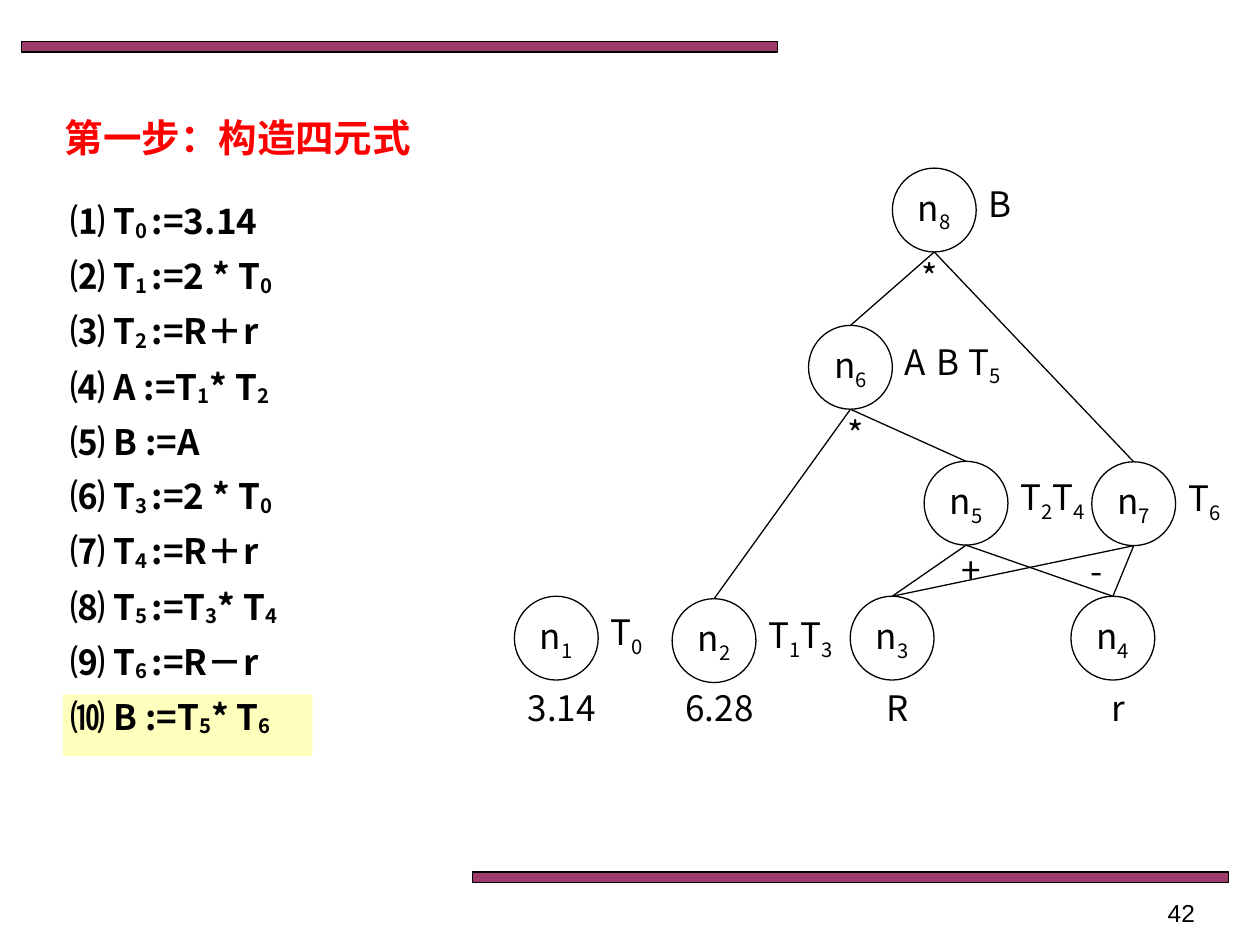
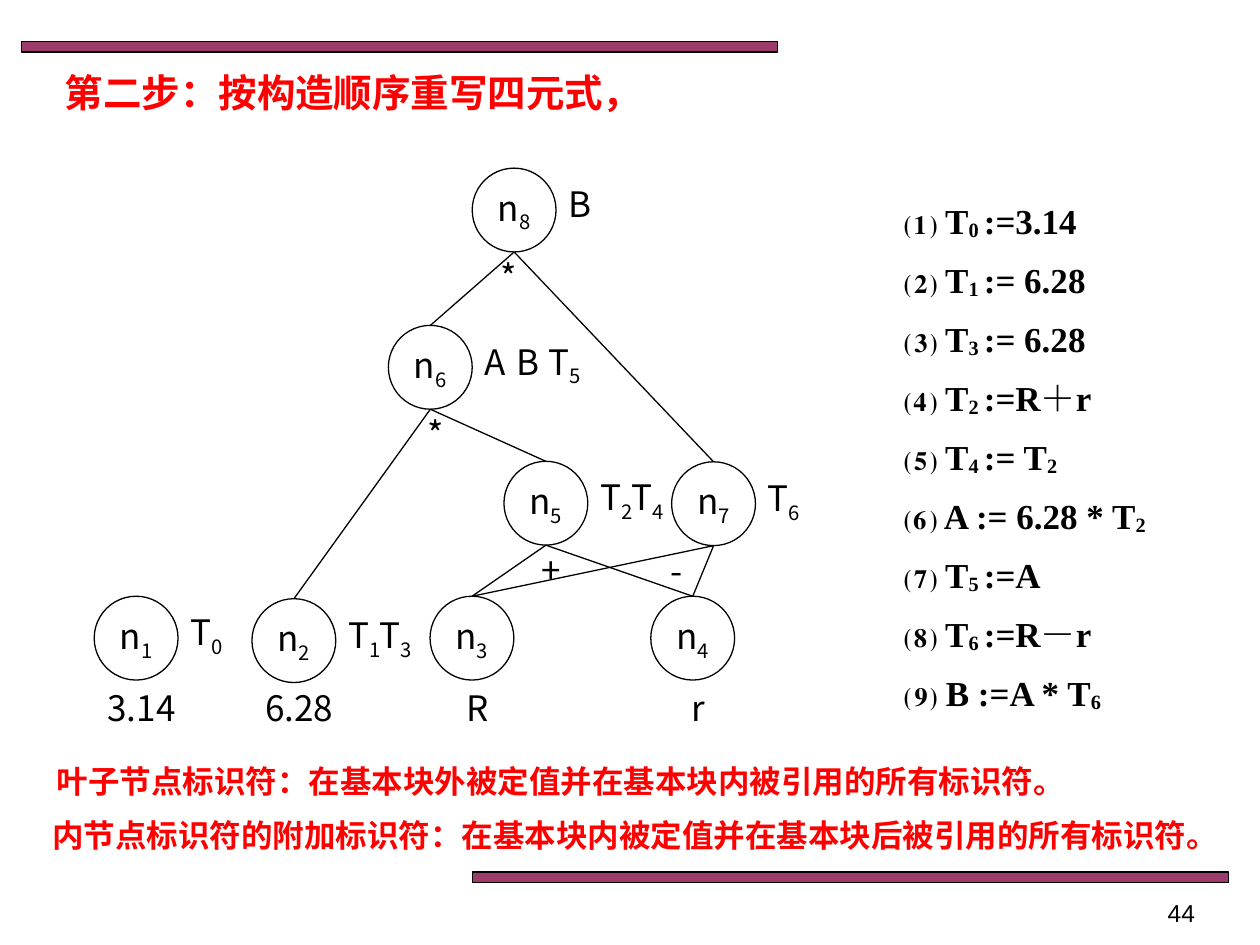
import lxml.etree
import pptx
import pptx.dml.color
import pptx.enum.shapes
import pptx.enum.text
import pptx.oxml.ns
import pptx.util

Cm = pptx.util.Cm
Pt = pptx.util.Pt
RGBColor = pptx.dml.color.RGBColor
ALIGN = pptx.enum.text.PP_ALIGN
SHAPE = pptx.enum.shapes.MSO_SHAPE
qn = pptx.oxml.ns.qn

BLACK = RGBColor(0x00, 0x00, 0x00)
RED = RGBColor(0xFF, 0x00, 0x00)
PLUM = RGBColor(0x99, 0x33, 0x66)
YELLOW = RGBColor(0xFF, 0xFF, 0x00)
SANS, SERIF, NUMBER_FONT = "Noto Sans CJK SC", "Times New Roman", "Arial"

# Braces enclose subscripts. All lengths are centimetres.
BANDS = [(0.43, 0.84), (9.53, 17.58)]
DIAMETER = 1.69
LABEL_STEP = 0.64

# name: (left from graph edge, top, labels on the right, value below)
NODES = {
    "n{1}": (0, 12.02, ["T{0}"], "3.14"),
    "n{2}": (3.18, 12.07, ["T{1}", "T{3}"], "6.28"),
    "n{3}": (6.77, 12.02, [], "R"),
    "n{4}": (11.22, 12.02, [], "r"),
    "n{5}": (8.26, 9.3, ["T{2}", "T{4}"], None),
    "n{6}": (5.93, 6.56, ["A", "B", "T{5}"], None),
    "n{7}": (11.64, 9.31, ["T{6}"], None),
    "n{8}": (7.62, 3.39, ["B"], None),
}
# parent: (operator, operator shift from the node's left, children)
OPERATIONS = {
    "n{5}": ("+", -0.21, ["n{3}", "n{4}"]),
    "n{6}": ("*", -0.21, ["n{2}", "n{5}"]),
    "n{7}": ("-", -1.06, ["n{3}", "n{4}"]),
    "n{8}": ("*", -0.42, ["n{6}", "n{7}"]),
}

FIRST_QUADRUPLES = [
    "⑴ T{0 }:=3.14",
    "⑵ T{1 }:=2 * T{0}",
    "⑶ T{2 }:=R＋r",
    "⑷ A :=T{1}* T{2}",
    "⑸ B :=A",
    "⑹ T{3 }:=2 * T{0}",
    "⑺ T{4 }:=R＋r",
    "⑻ T{5 }:=T{3}* T{4}",
    "⑼ T{6 }:=R－r",
    "⑽ B :=T{5}* T{6}",
]
REWRITTEN_QUADRUPLES = [
    "⑴ T{0 }:=3.14",
    "⑵ T{1 }:= 6.28",
    "⑶ T{3 }:= 6.28",
    "⑷ T{2 }:=R＋r",
    "⑸ T{4 }:= T{2}",
    "⑹ A := 6.28 * T{2}",
    "⑺ T{5 }:=A",
    "⑻ T{6 }:=R－r",
    "⑼ B :=A * T{6}",
]

PAGES = [
    {
        "number": "42",
        "title": ("第一步：构造四元式", 2.18),
        "graph_left": 10.37,
        "highlight": (1.27, 14.0, 5.03, 1.24),
        "quadruples": FIRST_QUADRUPLES,
        "quadruples_at": (1.17, 3.86, 6.15, 11.46),
        "quadruples_format": {"font": SANS, "line_spacing": 1.05, "before": 30},
        "remarks": [],
    },
    {
        "number": "44",
        "title": ("第二步：按构造顺序重写四元式，", 1.27),
        "graph_left": 1.9,
        "highlight": None,
        "quadruples": REWRITTEN_QUADRUPLES,
        "quadruples_at": (17.98, 3.81, 6.35, 11.0),
        "quadruples_format": {"font": SERIF, "line_spacing": 1.1, "before": 35},
        "remarks": [
            ("叶子节点标识符：在基本块外被定值并在基本块内被引用的所有标识符。",
             (0.61, 15.24, 21.39, 1.02)),
            ("内节点标识符的附加标识符：在基本块内被定值并在基本块后被引用的所有标识符。",
             (0.42, 16.33, 24.77, 1.02)),
        ],
    },
]


def write(frame, text, font=SANS, size=20, color=BLACK, bold=False, align=ALIGN.LEFT,
          subscript=-25, line_spacing=None, before=None):
    """Fill a text frame, one paragraph a line; before is a percentage."""
    for index, line in enumerate(text.split("\n")):
        para = frame.paragraphs[0] if index == 0 else frame.add_paragraph()
        para.alignment = align
        if line_spacing:
            para.line_spacing = line_spacing
        if before:
            space = para._p.get_or_add_pPr().get_or_add_spcBef()
            lxml.etree.SubElement(space, qn("a:spcPct"), val=str(before * 1000))
        for position, part in enumerate(line.replace("}", "{").split("{")):
            if not part:
                continue
            span = para.add_run()
            span.text = part
            span.font.size = Pt(size)
            span.font.bold = bold
            span.font.color.rgb = color
            span.font.name = font
            properties = span._r.get_or_add_rPr()
            lxml.etree.SubElement(properties, qn("a:ea"), typeface=font)
            if position % 2:
                properties.set("baseline", str(subscript * 1000))


def add_text(page, text, left, top, width, height, grow=True, **text_format):
    frame = page.shapes.add_textbox(Cm(left), Cm(top), Cm(width), Cm(height)).text_frame
    frame.word_wrap = True
    if grow:
        frame.auto_size = pptx.enum.text.MSO_AUTO_SIZE.SHAPE_TO_FIT_TEXT
    write(frame, text, **text_format)


def add_figure(page, kind, left, top, width, height, fill=None, opacity=100, outlined=True):
    figure = page.shapes.add_shape(kind, Cm(left), Cm(top), Cm(width), Cm(height))
    figure.shadow.inherit = False
    if fill is None:
        figure.fill.background()
    else:
        figure.fill.solid()
        figure.fill.fore_color.rgb = fill
        tint = figure._element.spPr.find(qn("a:solidFill"))[0]
        lxml.etree.SubElement(tint, qn("a:alpha"), val=str(opacity * 1000))
    if outlined:
        figure.line.color.rgb = BLACK
        figure.line.width = Pt(0.75)
    else:
        figure.line.fill.background()
    return figure


def add_edge(page, parent, child):
    """Join the bottom of the parent circle to the top of the child circle."""
    edge = page.shapes.add_connector(
        pptx.enum.shapes.MSO_CONNECTOR.STRAIGHT,
        parent.left + parent.width // 2, parent.top + parent.height,
        child.left + child.width // 2, child.top)
    edge.end_connect(child, 0)
    edge.line.color.rgb = BLACK
    edge.line.width = Pt(0.75)
    lxml.etree.SubElement(edge._element.spPr, qn("a:effectLst"))


def add_graph(page, graph_left):
    circles = {}
    for name, (offset, top, labels, value) in NODES.items():
        left = graph_left + offset
        circle = add_figure(page, SHAPE.OVAL, left, top, DIAMETER, DIAMETER)
        circle.text_frame.word_wrap = False
        circle.text_frame.vertical_anchor = pptx.enum.text.MSO_ANCHOR.MIDDLE
        write(circle.text_frame, name, align=ALIGN.CENTER)
        circles[name] = circle
        for index, label in enumerate(labels):
            add_text(page, label, left + DIAMETER + index * LABEL_STEP, top + 0.17, 1.48, 1.11)
        if value:
            add_text(page, value, left - 0.21, 13.72, 2.33, 1.11, align=ALIGN.CENTER)
    for name, (operator, shift, children) in OPERATIONS.items():
        offset, top = NODES[name][:2]
        for child in children:
            add_edge(page, circles[name], circles[child])
        add_text(page, operator, graph_left + offset + shift, top + DIAMETER - 0.05,
                 2.33, 1.11, align=ALIGN.CENTER)


def add_page(deck, content):
    page = deck.slides.add_slide(deck.slide_layouts[6])
    for left, top in BANDS:
        add_figure(page, SHAPE.RECTANGLE, left, top, 15.24, 0.21, fill=PLUM, opacity=96)
    if content["highlight"]:
        add_figure(page, SHAPE.RECTANGLE, *content["highlight"], fill=YELLOW, opacity=26,
                   outlined=False)
    title, title_top = content["title"]
    add_text(page, title, 1.06, title_top, 13.76, 1.19, size=22, color=RED, bold=True, before=50)
    add_text(page, "\n".join(content["quadruples"]), *content["quadruples_at"],
             bold=True, subscript=-10, **content["quadruples_format"])
    for remark, place in content["remarks"]:
        add_text(page, remark, *place, size=18, color=RED, bold=True, align=ALIGN.CENTER)
    add_graph(page, content["graph_left"])
    add_text(page, content["number"], 18.42, 17.98, 5.92, 0.69, grow=False,
             font=NUMBER_FONT, size=14, align=ALIGN.RIGHT)


def main():
    deck = pptx.Presentation()
    deck.slide_width, deck.slide_height = Cm(25.4), Cm(19.05)
    for content in PAGES:
        add_page(deck, content)
    deck.save("out.pptx")


if __name__ == "__main__":
    main()
